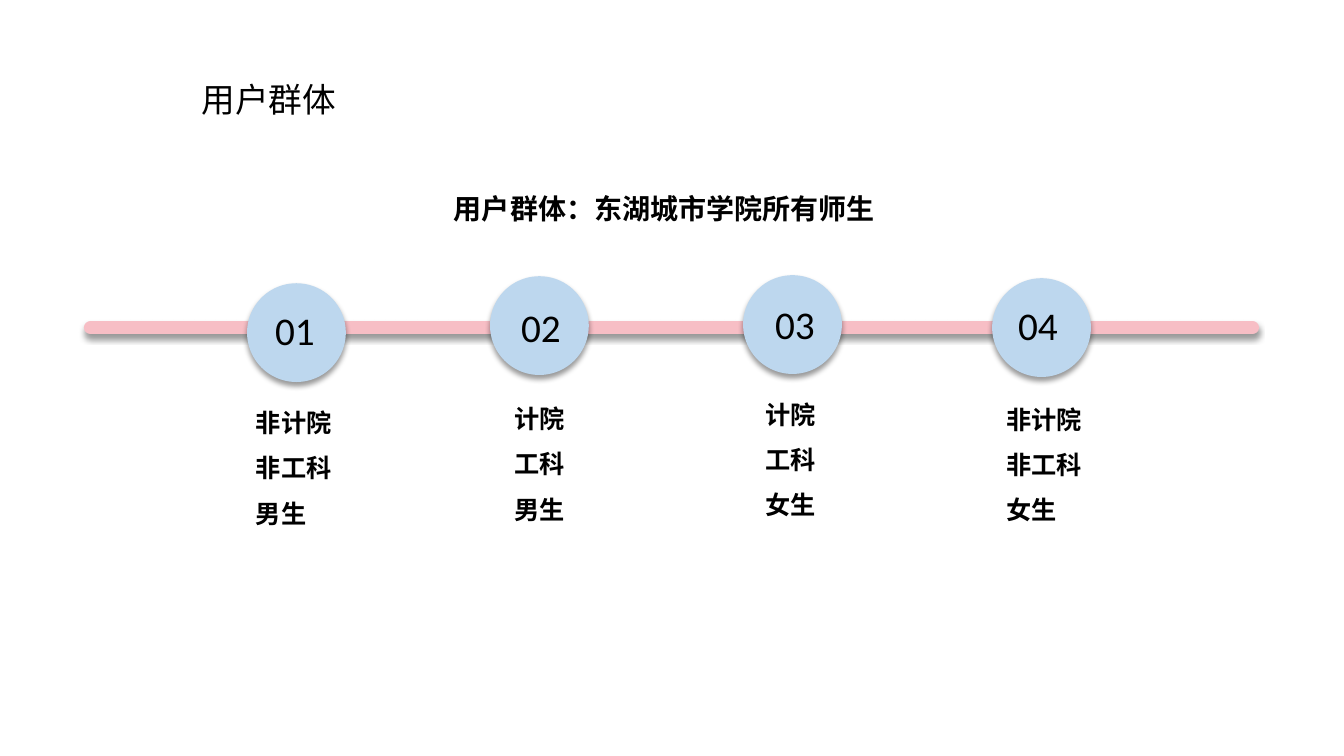
import pptx
import pptx.util
import pptx.dml.color
import pptx.enum.shapes
import pptx.enum.text
import pptx.oxml
from pptx.util import Inches

SHADOW = (
    '<a:effectLst xmlns:a="http://schemas.openxmlformats.org/drawingml/2006/main">'
    '<a:outerShdw blurRad="50800" dist="38100" dir="5400000" algn="t" rotWithShape="0">'
    '<a:srgbClr val="000000"><a:alpha val="40000"/></a:srgbClr>'
    '</a:outerShdw></a:effectLst>'
)


def paint(color, code):
    """Set a colour format from a hex string."""
    color.rgb = pptx.dml.color.RGBColor.from_string(code)


def write(box, lines, size, face="Calibri", bold=False, wrap=True, space=None, align=None):
    """Add a text box with one paragraph for each line."""
    shape = slide.shapes.add_textbox(*map(Inches, box))
    frame = shape.text_frame
    frame.word_wrap = wrap
    frame.auto_size = pptx.enum.text.MSO_AUTO_SIZE.SHAPE_TO_FIT_TEXT
    frame.text = "\n".join(lines)
    for para in frame.paragraphs:
        para.font.size = pptx.util.Pt(size)
        para.font.name = face
        para.font.bold = bold
        paint(para.font.color, "000000")
        para.line_spacing = space
        para.alignment = align


deck = pptx.Presentation()
deck.slide_width = Inches(13.33)
deck.slide_height = Inches(7.5)
slide = deck.slides.add_slide(deck.slide_layouts[6])

# Time line
rail = slide.shapes.add_connector(
    pptx.enum.shapes.MSO_CONNECTOR.STRAIGHT,
    Inches(0.9), Inches(3.25), Inches(12.42), Inches(3.25))
rail.line.width = pptx.util.Pt(9.75)
paint(rail.line.color, "F7BEC5")
rail.line._get_or_add_ln().set("cap", "rnd")
rail._element.spPr.append(pptx.oxml.parse_xml(SHADOW))

# User groups: left and top of disc, number and list; list width; list lines
groups = [
    ((2.45, 2.81), (2.63, 2.99), (2.44, 3.84), 0.96, ["非计院", "非工科", "男生"]),
    ((4.86, 2.74), (5.07, 2.96), (5, 3.8), 0.71, ["计院", "工科", "男生"]),
    ((7.37, 2.73), (7.59, 2.93), (7.49, 3.76), 0.71, ["计院", "工科", "女生"]),
    ((9.84, 2.76), (10, 2.94), (9.88, 3.81), 0.96, ["非计院", "非工科", "女生"]),
]
for index, (disc, label, spot, width, lines) in enumerate(groups, 1):
    dot = slide.shapes.add_shape(
        pptx.enum.shapes.MSO_SHAPE.OVAL, *map(Inches, (*disc, 0.98, 0.98)))
    dot.fill.solid()
    paint(dot.fill.fore_color, "BDD7EE")
    dot.line.fill.background()
    dot._element.spPr.append(pptx.oxml.parse_xml(SHADOW))
    write((*label, 0.73, 0.57), [f"{index:02}"], 28)
    write((*spot, width, 1.46), lines, 18, "Noto Sans CJK SC", True, False, 1.5)

# Headings
write((1.9, 0.73, 3.72, 0.5), ["用户群体"], 24)
write((1.89, 1.85, 9.4, 0.44), ["用户群体：东湖城市学院所有师生"], 20,
      bold=True, align=pptx.enum.text.PP_ALIGN.CENTER)

deck.save("out.pptx")
